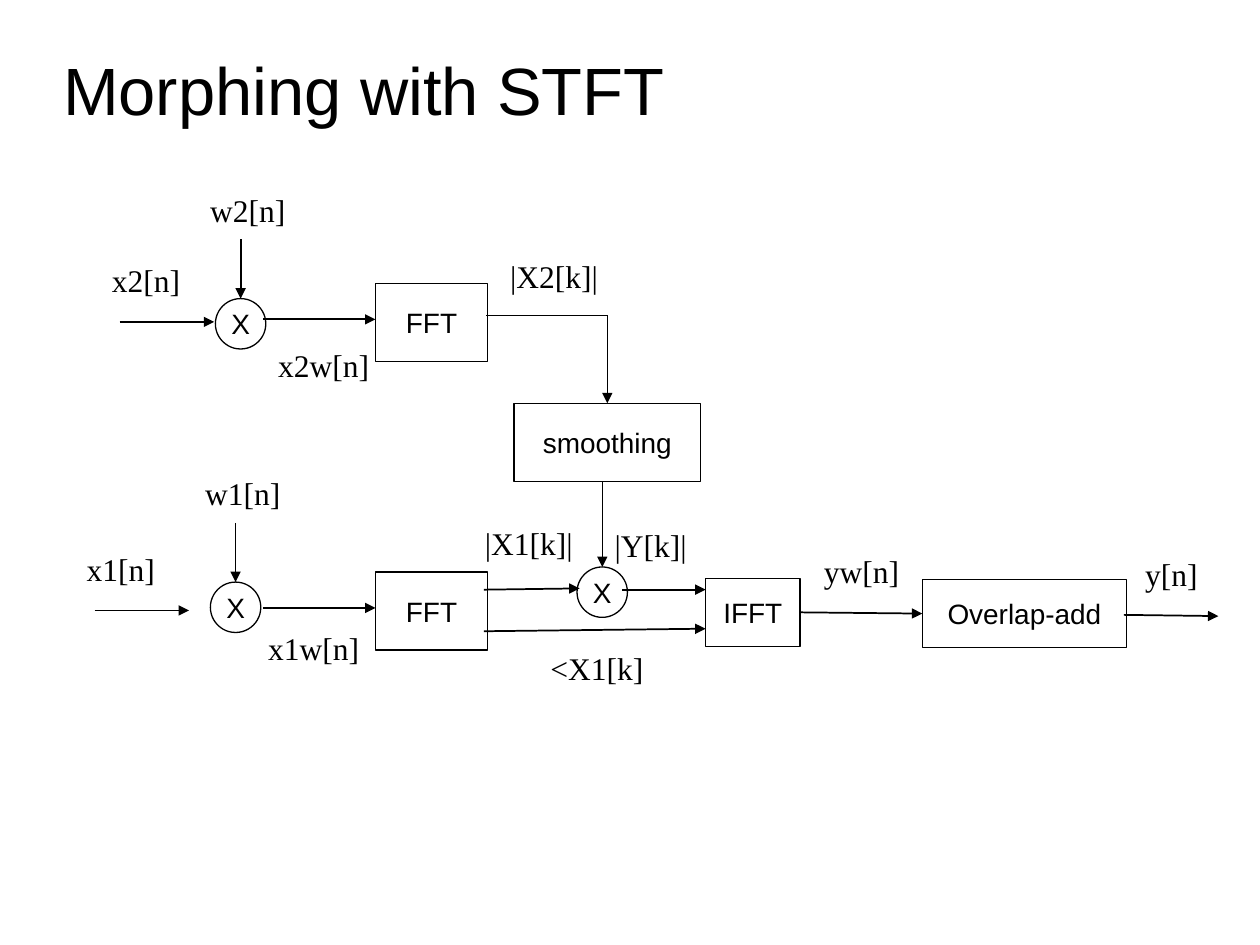
from dataclasses import dataclass
from typing import Any

from lxml.etree import SubElement
from pptx import Presentation
from pptx.dml.color import RGBColor
from pptx.enum.shapes import MSO_CONNECTOR, MSO_SHAPE
from pptx.enum.text import MSO_ANCHOR, MSO_AUTO_SIZE, PP_ALIGN
from pptx.oxml.ns import qn
from pptx.util import Inches, Pt

CELL = 0.1
INK = "000000"
TOP, LEFT, RIGHT = 0, 1, 3
MIXER_SIZE = 4
BLOCK_HEIGHT = 6.2
HAIRLINE = 0.01
LABEL_SLACK = 0.1


def cells(count):
    return Inches(count * CELL)


def color(hex_code):
    return RGBColor.from_string(hex_code)


def style(para, face, size):
    for span in para.runs:
        span.font.name = face
        span.font.size = Pt(size)
        span.font.color.rgb = color(INK)


@dataclass
class Region:
    page: Any
    left: float
    top: float
    width: float
    height: float

    def place(self, left, top):
        return cells(self.left + left), cells(self.top + top)

    def node(self, kind, text, left, top, width, height):
        shape = self.page.shapes.add_shape(
            kind, *self.place(left, top), cells(width), cells(height))
        shape.shadow.inherit = False
        shape.fill.background()
        shape.line.color.rgb = color(INK)
        shape.line.width = Pt(0.75)
        frame = shape.text_frame
        frame.text = text
        frame.vertical_anchor = MSO_ANCHOR.MIDDLE
        para = frame.paragraphs[0]
        para.alignment = PP_ALIGN.CENTER
        style(para, "Arial", 16)
        return shape

    def block(self, text, left, top, width, height=BLOCK_HEIGHT):
        return self.node(MSO_SHAPE.RECTANGLE, text, left, top, width, height)

    def mixer(self, left, top):
        shape = self.node(MSO_SHAPE.OVAL, "X", left, top, MIXER_SIZE, MIXER_SIZE)
        frame = shape.text_frame
        frame.word_wrap = False
        frame.margin_left = frame.margin_right = 0
        frame.margin_top = frame.margin_bottom = 0
        return shape

    def label(self, text, left, top, width):
        box = self.page.shapes.add_textbox(
            *self.place(left - LABEL_SLACK, top),
            cells(width + 2 * LABEL_SLACK), cells(3.8))
        frame = box.text_frame
        frame.word_wrap = False
        frame.auto_size = MSO_AUTO_SIZE.SHAPE_TO_FIT_TEXT
        frame.text = text
        para = frame.paragraphs[0]
        para.line_spacing = 0.93
        style(para, "Times New Roman", 18)

    def line(self, start, end, width=1, head=True, source=None, target=None):
        connector = self.page.shapes.add_connector(
            MSO_CONNECTOR.STRAIGHT, *self.place(*start), *self.place(*end))
        connector.line.color.rgb = color(INK)
        connector.line.width = Pt(width)
        if head:
            outline = connector.line._get_or_add_ln()
            SubElement(outline, qn("a:tailEnd"), type="triangle")
        SubElement(connector._element.spPr, qn("a:effectLst"))
        if source:
            connector.begin_connect(*source)
        if target:
            connector.end_connect(*target)


def draw_title(page, text):
    title = page.shapes.title
    title.left, title.top = cells(5), cells(0.8)
    title.width, title.height = cells(90), cells(12.5)
    frame = title.text_frame
    frame.text = text
    frame.margin_left = frame.margin_right = 0
    frame.margin_top = frame.margin_bottom = 0
    frame.vertical_anchor = MSO_ANCHOR.MIDDLE
    para = frame.paragraphs[0]
    para.alignment = PP_ALIGN.LEFT
    style(para, "Arial", 38.2)


def draw_input_stage(region, index, mixer_at, product_at, magnitude_at):
    region.block("FFT", region.width - 8.9, 0, 8.9)
    left, top = mixer_at
    mixer = region.mixer(left, top)
    middle = left + MIXER_SIZE / 2

    region.label(f"x{index}[n]", 0, -2, 7.4)
    region.label(f"w{index}[n]", left - 1.3, top - 8.8, 7.9)
    region.label(f"x{index}w[n]", *product_at, 9.2)
    region.label(f"|X{index}[k]|", *magnitude_at, 8.9)

    region.line((1.5, 3.05), (9, 3.05))
    region.line((middle, top - 4.7), (middle, top), target=(mixer, TOP))
    region.line((region.width - 17.8, 2.85), (region.width - 8.9, 2.85))


def draw_smoothing(region):
    smoothing = region.block("smoothing", 2.2, 7, 14.8)
    region.line((0, 0), (9.6, 0), HAIRLINE, head=False)
    region.line((9.6, 0), (9.6, 7), HAIRLINE, target=(smoothing, TOP))


def draw_morphing(region):
    mixer = region.mixer(7.4, 6.8)
    region.line((9.4, 0), (9.4, 6.8), HAIRLINE, target=(mixer, TOP))
    region.line((0, 8.6), (7.6, 8.5))
    region.line((11, 8.6), (region.width, 8.6))
    region.line((0, 11.9), (region.width, 11.7))
    region.label("|Y[k]|", 9.5, 3.3, 7.7)
    region.label("<X1[k]", 4.4, 13.1, 9.4)


def draw_output(region):
    inverse = region.block("IFFT", 0, 0, 7.5, region.height)
    overlap = region.block("Overlap-add", 17.2, 0.1, 16.2, region.height)
    region.line((7.5, 2.7), (17.2, 2.8),
                source=(inverse, RIGHT), target=(overlap, LEFT))
    region.line((33.2, 2.9), (region.width, 3))
    region.label("yw[n]", 8.5, -2.3, 7.9)
    region.label("y[n]", 34, -2.1, 6.1)


def main():
    deck = Presentation()
    deck.slide_width, deck.slide_height = cells(100), cells(75)
    page = deck.slides.add_slide(deck.slide_layouts[5])
    draw_title(page, "Morphing with STFT")
    draw_input_stage(Region(page, 8, 22.5, 30.7, BLOCK_HEIGHT), 2,
                     (9.1, 1.2), (13.2, 4.7), (31.6, -2.3))
    draw_input_stage(Region(page, 6, 45.4, 32.7, BLOCK_HEIGHT), 1,
                     (10.7, 0.8), (14.4, 4.3), (31.6, -4))
    draw_smoothing(Region(page, 38.6, 25, 17, 13.2))
    draw_morphing(Region(page, 38.4, 38.2, 17.6, 16.9))
    draw_output(Region(page, 56, 45.9, 40.7, 5.4))
    deck.save("out.pptx")


if __name__ == "__main__":
    main()
